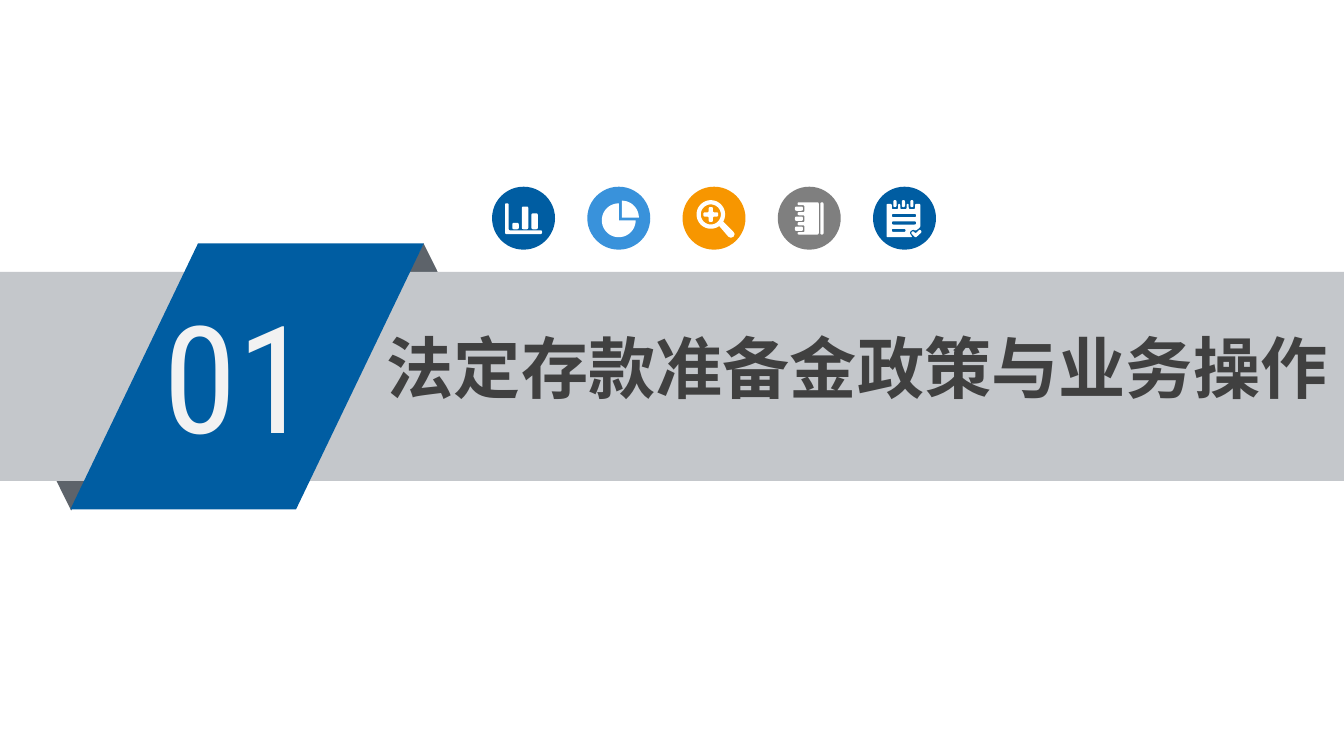
from math import cos, dist, radians, sin

from lxml import etree
from pptx import Presentation
from pptx.dml.color import RGBColor
from pptx.enum.shapes import MSO_SHAPE
from pptx.enum.text import MSO_ANCHOR, MSO_AUTO_SIZE, PP_ALIGN
from pptx.oxml.ns import qn
from pptx.util import Cm, Pt

RECTANGLE, OVAL = MSO_SHAPE.RECTANGLE, MSO_SHAPE.OVAL
TRIANGLE, PARALLELOGRAM = MSO_SHAPE.ISOSCELES_TRIANGLE, MSO_SHAPE.PARALLELOGRAM
TOP, LEFT = MSO_ANCHOR.TOP, PP_ALIGN.LEFT
FIT_SHAPE = MSO_AUTO_SIZE.SHAPE_TO_FIT_TEXT

HEADING = "法定存款准备金政策与业务操作"
NUMBER = "01"
BLUE, SKY, ORANGE, GRAY = "005DA2", "3992DB", "F79600", "7F7F7F"
BAND, FOLD, WHITE = "C4C7CB", "5D636A", "FFFFFF"

# kind, (left, top, width, height) in cm, fill, rotation
BANNER = [
    (TRIANGLE, (6.86, 4.6, 2.29, 2.31), FOLD, 0),
    (TRIANGLE, (0.2, 7.34, 2.29, 2.31), FOLD, 180),
    (RECTANGLE, (0, 5.14, 25.4, 3.95), BAND, 0),
    (PARALLELOGRAM, (1.33, 4.6, 6.68, 5.03), BLUE, 0),
]
SLANT = 0.48
BADGE_LEFT, BADGE_TOP, BADGE_SIZE, BADGE_STEP = 9.3, 3.53, 1.19, 1.8


# Icon outlines are lists of points in mm from the centre of the badge.
def rounded(points, radius=0.3):
    """Round every corner of a polygon with a short quadratic curve."""
    outline = []
    for index, corner in enumerate(points):
        ends = []
        for other in (points[index - 1], points[(index + 1) % len(points)]):
            length = dist(corner, other)
            share = min(radius, length / 2) / length
            ends.append([c + (o - c) * share for c, o in zip(corner, other)])
        for t in (0, 0.25, 0.5, 0.75, 1):
            outline.append(tuple(
                a * (1 - t) ** 2 + 2 * c * t * (1 - t) + b * t ** 2
                for a, c, b in zip(ends[0], corner, ends[1])))
    return outline


def bar(left, top, right, bottom):
    return rounded([(left, top), (right, top), (right, bottom), (left, bottom)])


def arc(x, y, radius, start, end):
    angles = [radians(start + (end - start) * step / 48) for step in range(49)]
    return [(x + radius * cos(a), y + radius * sin(a)) for a in angles]


def bar_chart():
    axis = [(-3.5, -2.8), (-2.8, -2.8), (-2.8, 2.3), (3.5, 2.3), (3.5, 3), (-3.5, 3)]
    columns = [(-2.1, 0.9), (-0.3, -2.2), (1.5, -0.9)]
    return [rounded(axis)] + [bar(x, y, x + 1.2, 2.1) for x, y in columns]


def pie_chart():
    return [[(0.6, -0.1)] + arc(0.6, -0.1, 3.2, -90, 0),
            [(0, 0.4)] + arc(0, 0.4, 3.2, 0, 270)]


def magnifier():
    x, y, arm, half = -0.6, -0.7, 1.4, 0.4
    handle = [(3.6, 2.5), (3.9, 3), (3.7, 3.5), (3.2, 3.7), (2.7, 3.5)]
    plus = [(-half, -arm), (half, -arm), (half, -half), (arm, -half),
            (arm, half), (half, half), (half, arm), (-half, arm),
            (-half, half), (-arm, half), (-arm, -half), (-half, -half)]
    return [arc(x, y, 2.7, 54, 390) + handle, arc(x, y, 1.9, 0, 360),
            rounded([(x + dx, y + dy) for dx, dy in plus])]


def notebook():
    rings = (-1.8, 0.1, 2)
    cover = [(1.8, 3.1), (1.8, -3), (-2.2, -3)]
    for y in rings:
        cover += [(-2.2, y - 0.65), (-0.9, y - 0.65), (-0.9, y + 0.65), (-2.2, y + 0.65)]
    cover.append((-2.2, 3.1))
    return ([rounded(cover), bar(2.1, -3, 2.7, 3.1)]
            + [bar(-2.7, y - 0.4, -1.2, y + 0.4) for y in rings])


def notepad():
    rings = (-1.8, -0.2, 1.4)
    sheet = [(-3.4, -2.7)]
    for x in rings:
        sheet += [(x - 0.6, -2.7), (x - 0.6, -1.7), (x + 0.6, -1.7), (x + 0.6, -2.7)]
    sheet += [(3, -2.7), (3, 1.7), (2.1, 2.4), (1.6, 2.1), (0.9, 2.7),
              (1.5, 3.6), (-3.4, 3.6)]
    tick = [(3.3, 2.6), (2.1, 3.7), (1.2, 2.8), (1.6, 2.4), (2.1, 2.9), (2.9, 2.1)]
    lines = [(-0.8, 2.2), (0.6, 2.2), (2, 0.2)]
    return ([rounded(sheet), rounded(tick)]
            + [bar(x - 0.3, -3.4, x + 0.3, -2.1) for x in rings]
            + [bar(-2.4, y, right, y + 0.6) for y, right in lines])


BADGES = [(BLUE, bar_chart), (SKY, pie_chart), (ORANGE, magnifier),
          (GRAY, notebook), (BLUE, notepad)]


def color(value):
    return RGBColor.from_string(value)


def paint(shape, fill):
    shape.shadow.inherit = False
    shape.fill.solid()
    shape.fill.fore_color.rgb = color(fill)
    shape.line.fill.background()


def add_figure(page, kind, place, fill):
    shape = page.shapes.add_shape(kind, *map(Cm, place))
    paint(shape, fill)
    return shape


def add_icon(page, outlines, center_x, center_y):
    outlines = [[(Cm(center_x + x / 10), Cm(center_y + y / 10)) for x, y in outline]
                for outline in outlines]
    builder = page.shapes.build_freeform(*outlines[0][0])
    builder.add_line_segments(outlines[0][1:], close=True)
    for outline in outlines[1:]:
        builder.move_to(*outline[0])
        builder.add_line_segments(outline[1:], close=True)
    paint(builder.convert_to_shape(), WHITE)


def write(box, text, *, place, size, font, fill, bold=False):
    box.left, box.top, box.width, box.height = map(Cm, place)
    frame = box.text_frame
    frame.word_wrap = True
    frame.auto_size = FIT_SHAPE
    frame.vertical_anchor = TOP
    frame.margin_left = frame.margin_right = Cm(0.2)
    frame.margin_top = frame.margin_bottom = Cm(0.1)
    para = frame.paragraphs[0]
    para.alignment = LEFT
    span = para.add_run()
    span.text = text
    span.font.size, span.font.bold, span.font.name = Pt(size), bold, font
    span.font.color.rgb = color(fill)
    etree.SubElement(span.font._element, qn("a:ea"), typeface=font)


def main():
    deck = Presentation()
    deck.slide_width, deck.slide_height = Cm(25.4), Cm(14.29)
    page = deck.slides.add_slide(deck.slide_layouts[5])

    for kind, place, fill, rotation in BANNER:
        shape = add_figure(page, kind, place, fill)
        shape.rotation = rotation
        if kind == PARALLELOGRAM:
            shape.adjustments[0] = SLANT

    title = page.shapes.title
    page.shapes._spTree.append(title._element)  # bring in front of the banner
    write(title, HEADING, place=(7.11, 6.07, 18.77, 1.73), size=36,
          font="Noto Sans CJK SC", fill="404040", bold=True)

    for index, (fill, icon) in enumerate(BADGES):
        left = BADGE_LEFT + index * BADGE_STEP
        add_figure(page, OVAL, (left, BADGE_TOP, BADGE_SIZE, BADGE_SIZE), fill)
        add_icon(page, icon(), left + BADGE_SIZE / 2, BADGE_TOP + BADGE_SIZE / 2)

    number_place = (2.9, 5.28, 4.83, 3.61)
    write(page.shapes.add_textbox(*map(Cm, number_place)), NUMBER, place=number_place,
          size=80, font="Roboto Condensed", fill="F2F2F2")
    deck.save("out.pptx")


if __name__ == "__main__":
    main()
